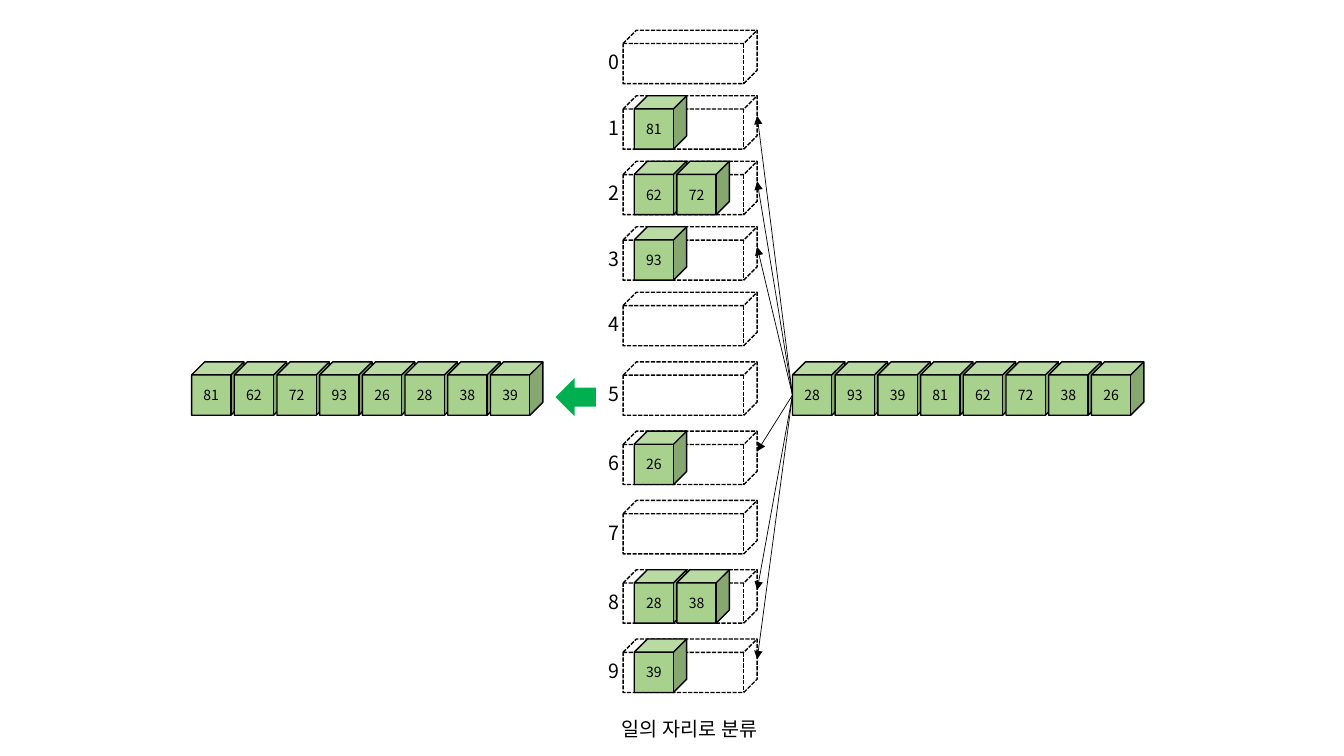
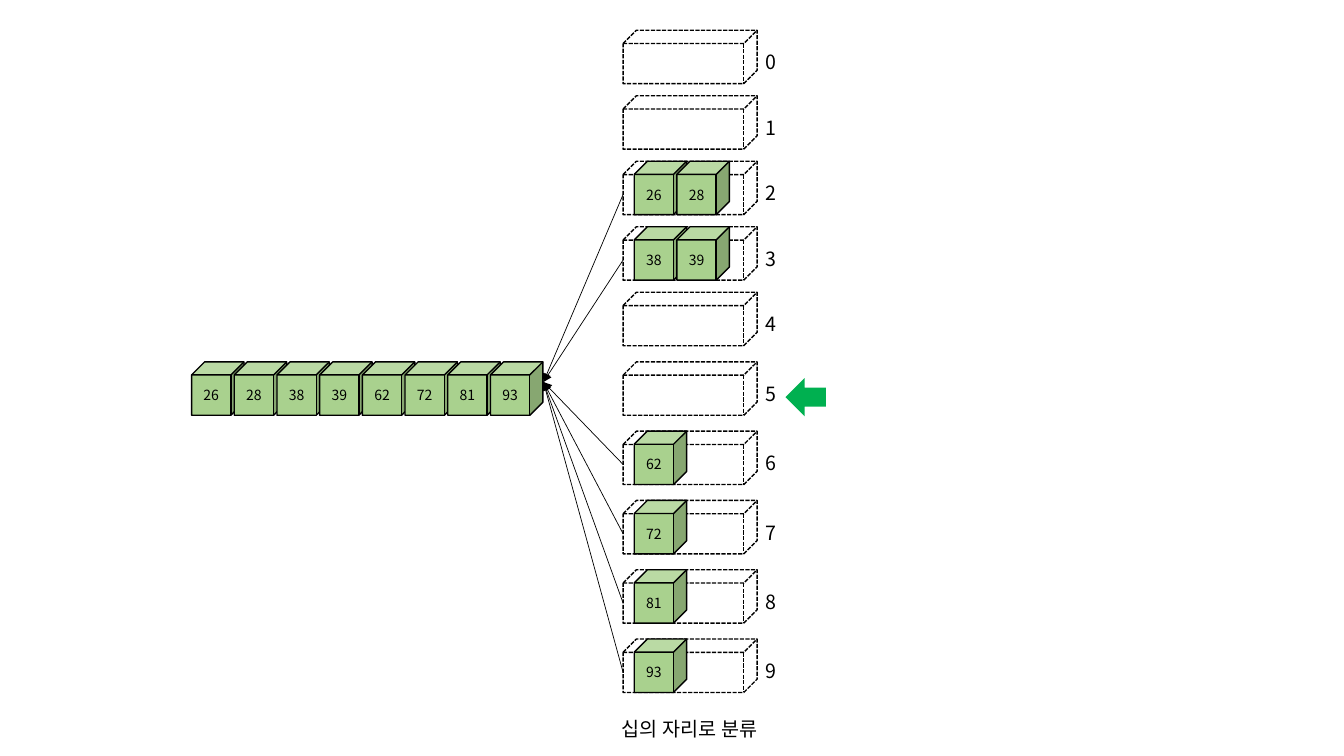
from lxml.etree import SubElement
from pptx import Presentation
from pptx.dml.color import RGBColor
from pptx.enum.dml import MSO_LINE
from pptx.enum.shapes import MSO_CONNECTOR, MSO_SHAPE
from pptx.enum.text import MSO_ANCHOR, MSO_AUTO_SIZE, PP_ALIGN
from pptx.oxml.ns import qn
from pptx.util import Inches, Pt

FONT = "Noto Sans CJK KR"
BLACK, GREEN, ARROW_GREEN = "000000", "A9D18E", "00B050"

# Grid, in inches
SLIDE_W, SLIDE_H = 13.33, 7.5
ROWS, MIDDLE_ROW = 10, 5
TOP, MIDDLE_TOP = 0.3, 3.59
UPPER_STEP, LOWER_STEP = 0.65, 0.6875
BUCKET_X, BUCKET_W, BOX_H = 6.18, 1.33, 0.53
BUCKET_RIGHT = BUCKET_X + BUCKET_W
CUBE_W, CUBE_STEP = 0.52, 0.4235
CUBE_INSET = 0.11
SORTED_X, INPUT_X = 1.9, 7.86
LABEL_W, LABEL_H = 0.29, 0.34
FACE_MIDDLE = 0.33  # centre of a cube's front face below its top

NUMBERS = [28, 93, 39, 81, 62, 72, 38, 26]


def color(value):
    """Turn a hex string into a colour."""
    return RGBColor.from_string(value)


def inches(*values):
    """Convert a group of lengths to slide units."""
    return [Inches(v) for v in values]


def set_all(obj, formats):
    """Set each attribute of obj from a dict."""
    for name, value in formats.items():
        setattr(obj, name, value)


def row_top(row):
    """Top of a bucket row; the lower half is spaced a little wider."""
    if row < MIDDLE_ROW:
        return TOP + row * UPPER_STEP
    return MIDDLE_TOP + (row - MIDDLE_ROW) * LOWER_STEP


def write(tf, text, size, **frame):
    """Put one centred run of text in a text frame."""
    set_all(tf, {"word_wrap": True, **frame})
    p = tf.paragraphs[0]
    p.alignment = PP_ALIGN.CENTER
    r = p.add_run()
    r.text = text
    set_all(r.font, {"name": FONT, "size": Pt(size)})
    r.font.color.rgb = color(BLACK)
    SubElement(r.font._element, qn("a:ea"), typeface=FONT)


def add_caption(slide, text):
    """Place the title placeholder under the buckets."""
    sp = slide.shapes.title
    sp.left, sp.top, sp.width, sp.height = inches(3.21, 7.06, 7.26, LABEL_H)
    write(sp.text_frame, text, 14, vertical_anchor=MSO_ANCHOR.TOP,
          auto_size=MSO_AUTO_SIZE.SHAPE_TO_FIT_TEXT)


def add_label(slide, x, row):
    """Number a bucket row."""
    sp = slide.shapes.add_textbox(
        *inches(x, row_top(row) + 0.15, LABEL_W, LABEL_H))
    write(sp.text_frame, str(row), 14, margin_left=0, margin_right=0,
          auto_size=MSO_AUTO_SIZE.SHAPE_TO_FIT_TEXT)


def add_box(slide, kind, x, y, w, h, fill=None, line=None):
    """Add a flat preset shape with optional fill and outline."""
    sp = slide.shapes.add_shape(kind, *inches(x, y, w, h))
    sp.shadow.inherit = False
    if fill:
        sp.fill.solid()
        sp.fill.fore_color.rgb = color(fill)
    else:
        sp.fill.background()
    if line:
        sp.line.color.rgb = color(line)
        sp.line.width = Pt(1)
    else:
        sp.line.fill.background()
    return sp


def add_bucket(slide, row):
    """Add a dashed, empty bucket."""
    sp = add_box(slide, MSO_SHAPE.CUBE, BUCKET_X, row_top(row),
                 BUCKET_W, BOX_H, line=BLACK)
    sp.line.dash_style = MSO_LINE.SQUARE_DOT


def add_cubes(slide, x, y, numbers):
    """Add a row of numbered cubes."""
    for i, number in enumerate(numbers):
        sp = add_box(slide, MSO_SHAPE.CUBE, x + i * CUBE_STEP, y,
                     CUBE_W, BOX_H, GREEN, BLACK)
        write(sp.text_frame, str(number), 10,
              vertical_anchor=MSO_ANCHOR.MIDDLE)


def add_pointer(slide, start, end):
    """Add a thin connector with an arrowhead at its end."""
    cx = slide.shapes.add_connector(
        MSO_CONNECTOR.STRAIGHT, *inches(*start, *end))
    cx.line.color.rgb = color(BLACK)
    cx.line.width = Pt(0.5)
    SubElement(cx.line._get_or_add_ln(), qn("a:tailEnd"), type="triangle")
    SubElement(cx._element.spPr, qn("a:effectLst"))


def add_step_arrow(slide, x):
    """Add the green arrow that points left."""
    sp = add_box(slide, MSO_SHAPE.RIGHT_ARROW, x, 3.75, 0.4, 0.38,
                 ARROW_GREEN)
    sp.rotation = 180


def distribute(numbers, place):
    """Sort numbers into rows by the digit at place (1 or 10)."""
    buckets = {row: [] for row in range(ROWS)}
    for number in numbers:
        buckets[number // place % 10].append(number)
    return buckets


def collect(buckets):
    """Join the buckets in row order."""
    return [number for group in buckets.values() for number in group]


def add_pass(prs, caption, label_x, arrow_x, buckets, pointer_ends):
    """Build a slide for one sorting pass and return it."""
    slide = prs.slides.add_slide(prs.slide_layouts[5])
    add_caption(slide, caption)
    for row in buckets:
        add_label(slide, label_x, row)
        add_bucket(slide, row)
    for row, group in buckets.items():
        if group:
            add_cubes(slide, BUCKET_X + CUBE_INSET, row_top(row), group)
            add_pointer(slide, *pointer_ends(row_top(row)))
    add_cubes(slide, SORTED_X, MIDDLE_TOP, collect(buckets))
    add_step_arrow(slide, arrow_x)
    return slide


def main():
    """Build both passes of the radix sort."""
    prs = Presentation()
    prs.slide_width, prs.slide_height = inches(SLIDE_W, SLIDE_H)

    ones = distribute(NUMBERS, 1)
    slide = add_pass(
        prs, "일의 자리로 분류", 5.94, 5.51, ones,
        lambda y: ((INPUT_X, MIDDLE_TOP + FACE_MIDDLE),
                   (BUCKET_RIGHT, y + 0.2)))
    add_cubes(slide, INPUT_X, MIDDLE_TOP, NUMBERS)

    tens = distribute(collect(ones), 10)
    add_pass(
        prs, "십의 자리로 분류", 7.5, 7.79, tens,
        lambda y: ((BUCKET_X, y + FACE_MIDDLE), (5.39, MIDDLE_TOP + 0.2)))

    prs.save("out.pptx")


main()
